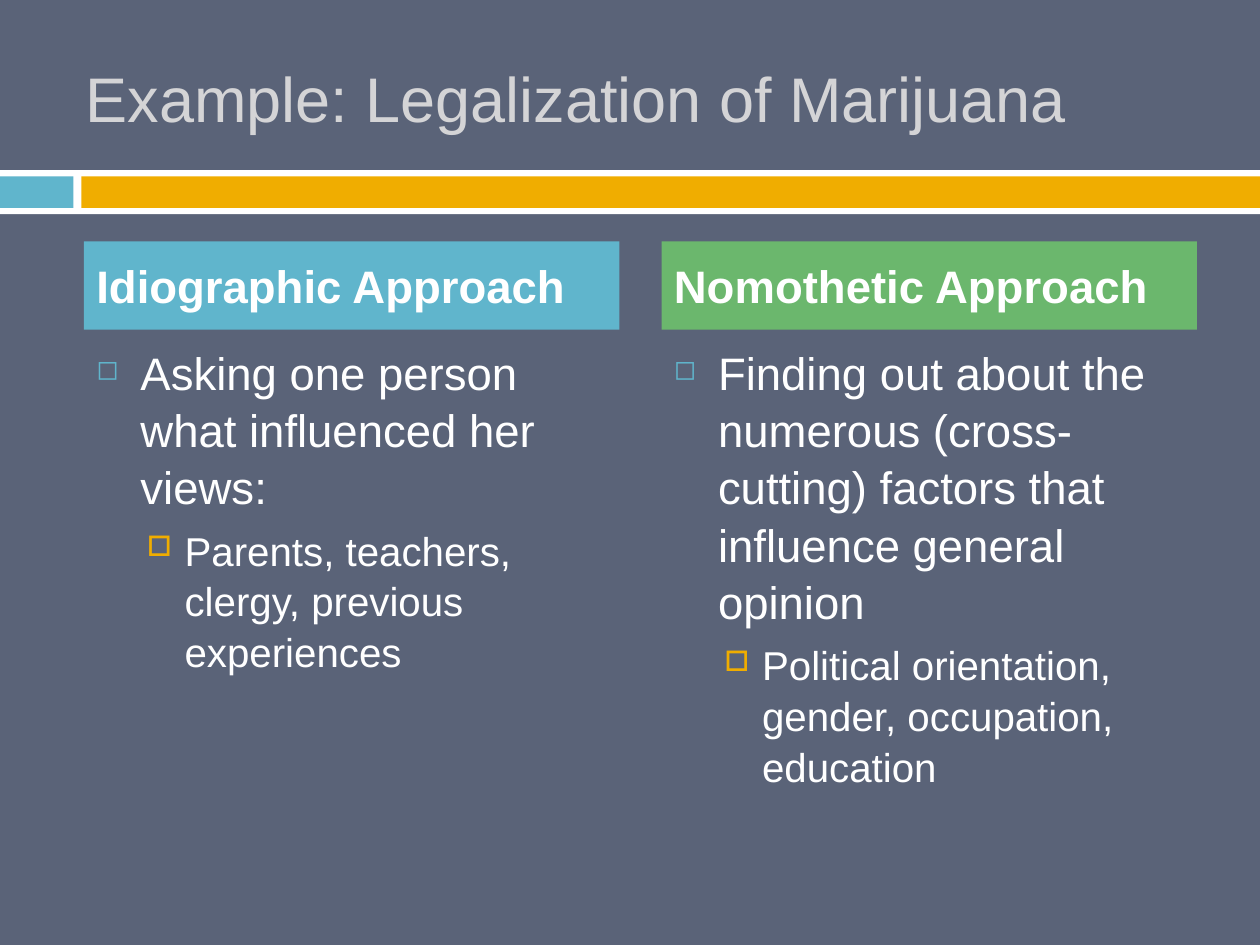
from dataclasses import dataclass

from lxml import etree
from pptx import Presentation
from pptx import util as u
from pptx.dml.color import RGBColor
from pptx.enum import shapes, text
from pptx.oxml.ns import qn


@dataclass(frozen=True)
class Theme:
    font: str = "Arial"
    background: str = "5A6378"
    white: str = "FFFFFF"
    title: str = "D4D4D6"
    blue: str = "60B5CC"
    amber: str = "F0AD00"
    green: str = "6BB76D"
    title_size: float = 36
    body_size: float = 26
    detail_size: float = 23


def add_bullet(para, char, color, percent, left, hanging):
    """Give a paragraph a coloured bullet and a hanging indent."""
    props = para._p.get_or_add_pPr()
    props.set("marL", str(u.Pt(left)))
    props.set("indent", str(-u.Pt(hanging)))
    bullet_color = etree.SubElement(props, qn("a:buClr"))
    etree.SubElement(bullet_color, qn("a:srgbClr"), val=color)
    etree.SubElement(props, qn("a:buSzPct"), val=str(percent * 1000))
    etree.SubElement(props, qn("a:buChar"), char=char)


def write(para, words, *, font, size, color, bold=False, before=0, spacing=None):
    """Write one formatted span into a paragraph."""
    para.alignment = text.PP_ALIGN.LEFT
    para.space_before = u.Pt(before)
    if spacing:
        para.line_spacing = spacing
    span = para.add_run()
    span.text = words
    span.font.name = font
    span.font.size = u.Pt(size)
    span.font.bold = bold
    span.font.color.rgb = RGBColor.from_string(color)


class PageBuilder:
    def __init__(self, page, theme):
        self.page = page
        self.theme = theme
        page.background.fill.solid()
        page.background.fill.fore_color.rgb = RGBColor.from_string(theme.background)

    def bar(self, left, top, width, height, color):
        box = self.page.shapes.add_shape(
            shapes.MSO_SHAPE.RECTANGLE, *map(u.Pt, (left, top, width, height)))
        box.shadow.inherit = False
        box.fill.solid()
        box.fill.fore_color.rgb = RGBColor.from_string(color)
        box.line.fill.background()
        return box

    def text_box(self, left, top, width, height):
        box = self.page.shapes.add_textbox(*map(u.Pt, (left, top, width, height)))
        box.text_frame.word_wrap = True
        return box

    def title(self, words, left, top, width, height):
        frame = self.text_box(left, top, width, height).text_frame
        frame.vertical_anchor = text.MSO_ANCHOR.MIDDLE
        write(frame.paragraphs[0], words, font=self.theme.font,
              size=self.theme.title_size, color=self.theme.title)

    def heading(self, words, left, top, width, height, color):
        frame = self.bar(left, top, width, height, color).text_frame
        frame.word_wrap = True
        frame.vertical_anchor = text.MSO_ANCHOR.MIDDLE
        write(frame.paragraphs[0], words, font=self.theme.font,
              size=self.theme.body_size, color=self.theme.white, bold=True)

    def bullets(self, point, detail, left, top, width, height):
        theme = self.theme
        frame = self.text_box(left, top, width, height).text_frame
        style = dict(font=theme.font, color=theme.white, spacing=1.05)

        para = frame.paragraphs[0]
        add_bullet(para, "◻", theme.blue, 60, left=25.2, hanging=25.2)
        write(para, point, size=theme.body_size, **style)

        para = frame.add_paragraph()
        para.level = 1
        add_bullet(para, "□", theme.amber, 70, left=50.4, hanging=21.6)
        write(para, detail, size=theme.detail_size, before=5.5, **style)


def main():
    theme = Theme()
    deck = Presentation()
    deck.slide_width, deck.slide_height = u.Pt(720), u.Pt(540)
    builder = PageBuilder(deck.slides.add_slide(deck.slide_layouts[6]), theme)

    # Divider band
    builder.bar(0, 97.2, 720, 25.2, theme.white)
    builder.bar(0, 100.8, 42, 18, theme.blue)
    builder.bar(46.5, 100.8, 673.5, 18, theme.amber)

    # Title
    builder.title("Example: Legalization of Marijuana", 42, 21.6, 642, 68.4)

    # Two columns: heading above its bullets
    columns = [
        ("Idiographic Approach", theme.blue,
         "Asking one person what influenced her views:",
         "Parents, teachers, clergy, previous experiences"),
        ("Nomothetic Approach", theme.green,
         "Finding out about the numerous (cross-cutting) factors that influence "
         "general opinion",
         "Political orientation, gender, occupation, education"),
    ]
    first_left, width, gap = 48, 306, 24
    for index, (name, color, point, detail) in enumerate(columns):
        left = first_left + index * (width + gap)
        builder.heading(name, left, 138, width, 50.4, color)
        builder.bullets(point, detail, left, 192, width, 282)

    deck.save("out.pptx")


if __name__ == "__main__":
    main()
